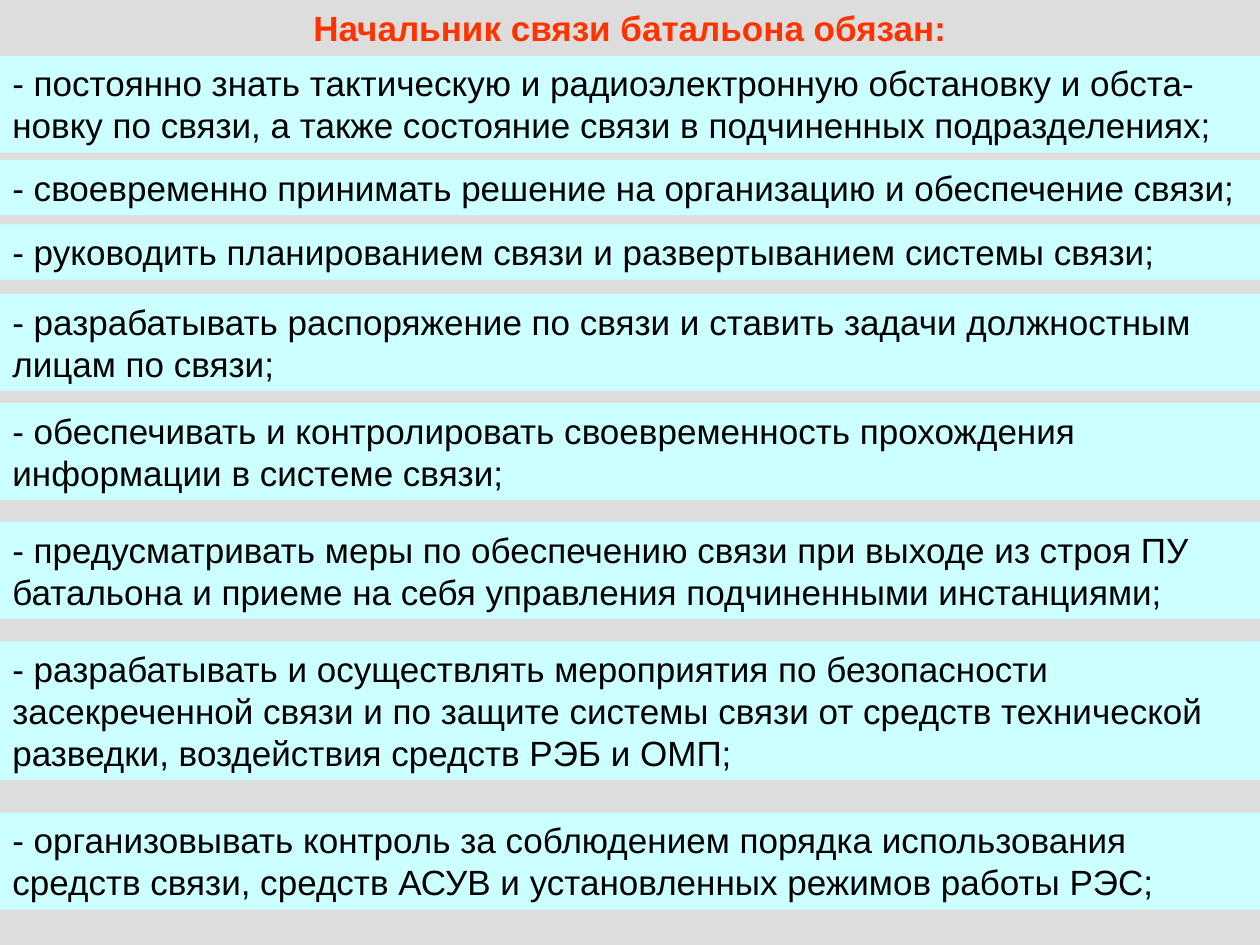
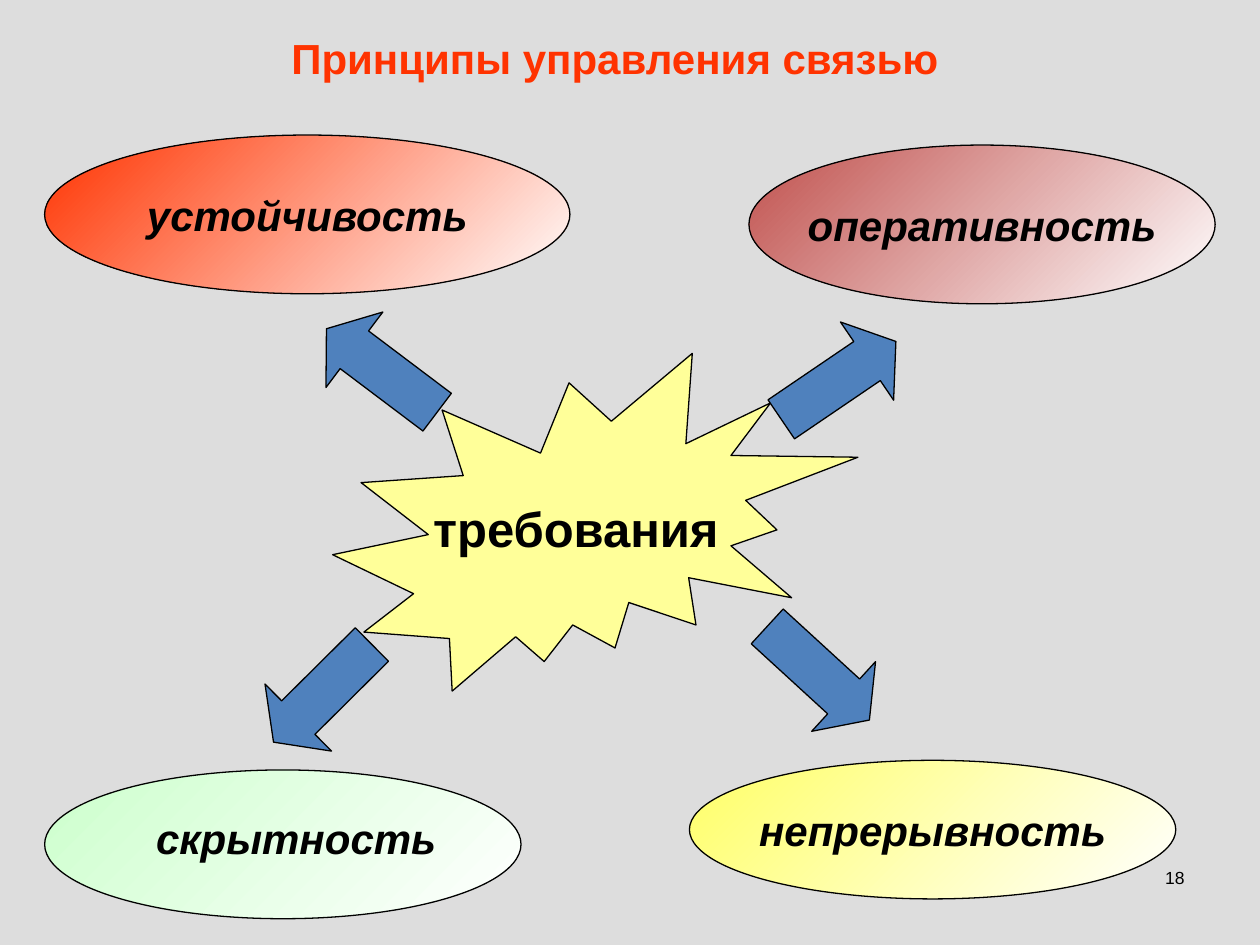
from dataclasses import dataclass

from pptx import Presentation
from pptx.dml.color import RGBColor
from pptx.enum.shapes import MSO_SHAPE
from pptx.enum.text import MSO_ANCHOR, PP_ALIGN
from pptx.util import Pt

LEFT, CENTER, RIGHT = PP_ALIGN.LEFT, PP_ALIGN.CENTER, PP_ALIGN.RIGHT
TOP, MIDDLE = MSO_ANCHOR.TOP, MSO_ANCHOR.MIDDLE
RECTANGLE, OVAL = MSO_SHAPE.RECTANGLE, MSO_SHAPE.OVAL
UP_ARROW, BURST = MSO_SHAPE.UP_ARROW, MSO_SHAPE.EXPLOSION2


@dataclass(frozen=True)
class Theme:
    font: str = "Arial"
    background: str = "DDDDDD"
    title: str = "FF3300"
    ink: str = "000000"
    white: str = "FFFFFF"
    band: str = "CCFFFF"
    burst: str = "FFFF99"
    arrow: str = "4F81BD"
    stability: str = "FF3300"
    promptness: str = "C0504D"
    continuity: str = "FFFF66"
    secrecy: str = "CCFFCC"
    number_size: float = 10
    body_size: float = 20
    heading_size: float = 24
    burst_size: float = 28
    outline: float = 0.75


THEME = Theme()
WIDTH, HEIGHT = 720, 540
LINE_HEIGHT, BAND_PADDING = 23.8, 7.8

# Top of the band, number of text lines, text
DUTIES = [
    (31.9, 2, "- постоянно знать тактическую и радиоэлектронную обстановку и обста-новку "
              "по связи, а также состояние связи в подчиненных подразделениях;"),
    (91.4, 1, "- своевременно принимать решение на организацию и обеспечение связи;"),
    (128.2, 1, "- руководить планированием связи и развертыванием системы связи;"),
    (168, 2, "- разрабатывать распоряжение по связи и ставить задачи должностным "
             "лицам по связи;"),
    (230.4, 2, "- обеспечивать и контролировать своевременность прохождения "
               "информации в системе связи;"),
    (298.3, 2, "- предусматривать меры по обеспечению связи при выходе из строя ПУ "
               "батальона и приеме на себя управления подчиненными инстанциями;"),
    (366.5, 3, "- разрабатывать и осуществлять мероприятия по безопасности засекреченной "
               "связи и по защите системы связи от средств технической разведки, "
               "воздействия средств РЭБ и ОМП;"),
    (464.4, 2, "- организовывать контроль за соблюдением порядка использования "
               "средств связи, средств АСУВ и установленных режимов работы РЭС;"),
]

# Box, starting colour of the gradient, text
PRINCIPLES = [
    ((25.5, 77.2, 300.2, 90.7), THEME.stability, "устойчивость"),
    ((428, 82.9, 266.4, 90.7), THEME.promptness, "оперативность"),
    ((394, 434.5, 277.9, 79.2), THEME.continuity, "непрерывность"),
]
SECRECY_BOX = (25.5, 440, 272.2, 85)

# Left, top, rotation
ARROWS = [(191.2, 172.1, 307), (157.4, 356.6, 225.2),
          (452.2, 177.8, 55.8), (440.6, 345.1, 132.5)]
ARROW_WIDTH, ARROW_LENGTH = 54, 79.2


def color(code):
    return RGBColor.from_string(code)


def points(box):
    return [Pt(length) for length in box]


def write(shape, text, size, ink=THEME.ink, align=LEFT, anchor=TOP,
          bold=False, italic=False, wrap=True):
    frame = shape.text_frame
    frame.text = text
    frame.word_wrap = wrap
    frame.vertical_anchor = anchor
    frame.margin_left = frame.margin_right = Pt(7.2)
    frame.margin_top = frame.margin_bottom = Pt(3.6)
    paragraph = frame.paragraphs[0]
    paragraph.alignment = align
    font = paragraph.runs[0].font
    font.name, font.size = THEME.font, Pt(size)
    font.bold, font.italic = bold, italic
    font.color.rgb = color(ink)


def add_figure(slide, kind, box, fill, fade=False, outlined=True):
    """Add a preset shape; with fade, its fill runs diagonally to white."""
    figure = slide.shapes.add_shape(kind, *points(box))
    figure.shadow.inherit = False
    if fade:
        figure.fill.gradient()
        figure.fill.gradient_angle = 315
        for stop, position, code in zip(figure.fill.gradient_stops, (0, 1),
                                        (fill, THEME.white)):
            stop.position = position
            stop.color.rgb = color(code)
    else:
        figure.fill.solid()
        figure.fill.fore_color.rgb = color(fill)
    if outlined:
        figure.line.color.rgb = color(THEME.ink)
        figure.line.width = Pt(THEME.outline)
    else:
        figure.line.fill.background()
    return figure


def add_titled_slide(deck, title, box, size):
    slide = deck.slides.add_slide(deck.slide_layouts[5])
    slide.background.fill.solid()
    slide.background.fill.fore_color.rgb = color(THEME.background)
    heading = slide.shapes.title
    heading.left, heading.top, heading.width, heading.height = points(box)
    write(heading, title, size, THEME.title, CENTER, bold=True)
    return slide


def add_principle(slide, box, tint, text):
    ellipse = add_figure(slide, OVAL, box, tint, fade=True)
    write(ellipse, text, THEME.heading_size, align=CENTER, anchor=MIDDLE,
          bold=True, italic=True, wrap=False)


def add_secrecy(slide, box):
    """Add the ellipse whose label stands in a box of its own."""
    left, top, width, _ = box
    add_figure(slide, OVAL, box, THEME.secrecy, fade=True)
    inset = 56.6
    label = slide.shapes.add_textbox(
        *points((left + inset, top + 20.8, width - inset, 36)))
    write(label, "скрытность", THEME.heading_size, bold=True, italic=True)


def build_duties(deck):
    slide = add_titled_slide(deck, "Начальник связи батальона обязан:",
                             (0, 0, WIDTH, 31.7), THEME.body_size)
    for top, lines, duty in DUTIES:
        box = (0, top, WIDTH, lines * LINE_HEIGHT + BAND_PADDING)
        band = add_figure(slide, RECTANGLE, box, THEME.band, outlined=False)
        write(band, duty, THEME.body_size)


def build_principles(deck):
    slide = add_titled_slide(deck, "Принципы управления связью",
                             (70.6, 15.1, 561.6, 36), THEME.heading_size)
    number = slide.shapes.add_textbox(*points((516.2, 491.8, 167.8, 36)))
    write(number, "18", THEME.number_size, align=RIGHT)

    burst = add_figure(slide, BURST, (190.1, 201.9, 300.2, 193), THEME.burst)
    write(burst, "требования", THEME.burst_size, align=CENTER, anchor=MIDDLE,
          bold=True, wrap=False)
    for left, top, rotation in ARROWS:
        arrow = add_figure(slide, UP_ARROW, (left, top, ARROW_WIDTH, ARROW_LENGTH),
                           THEME.arrow)
        arrow.adjustments[1] = 0.37
        arrow.rotation = rotation
    for box, tint, text in PRINCIPLES:
        add_principle(slide, box, tint, text)
    add_secrecy(slide, SECRECY_BOX)


def main():
    deck = Presentation()
    deck.slide_width, deck.slide_height = Pt(WIDTH), Pt(HEIGHT)
    build_duties(deck)
    build_principles(deck)
    deck.save("out.pptx")


if __name__ == "__main__":
    main()
